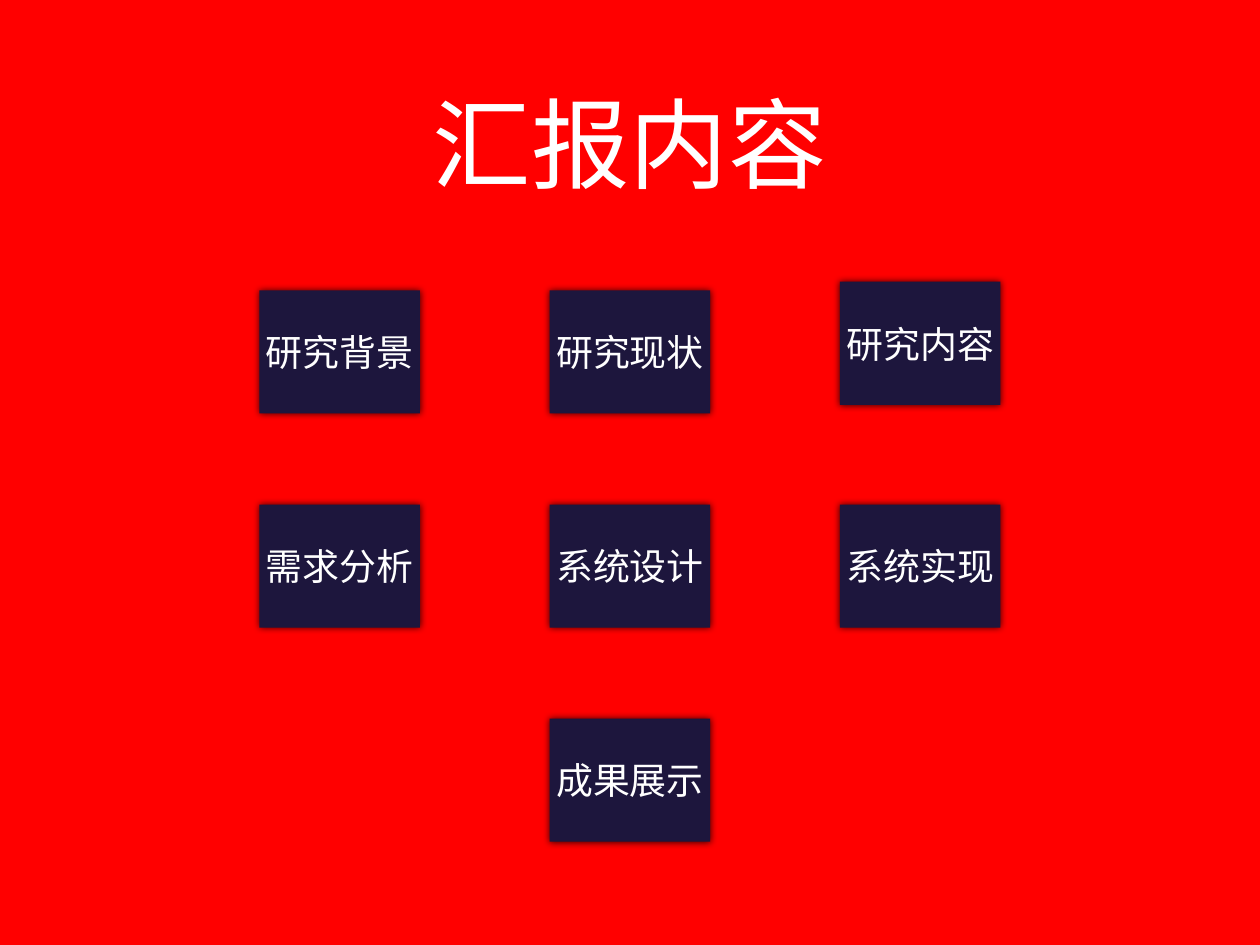
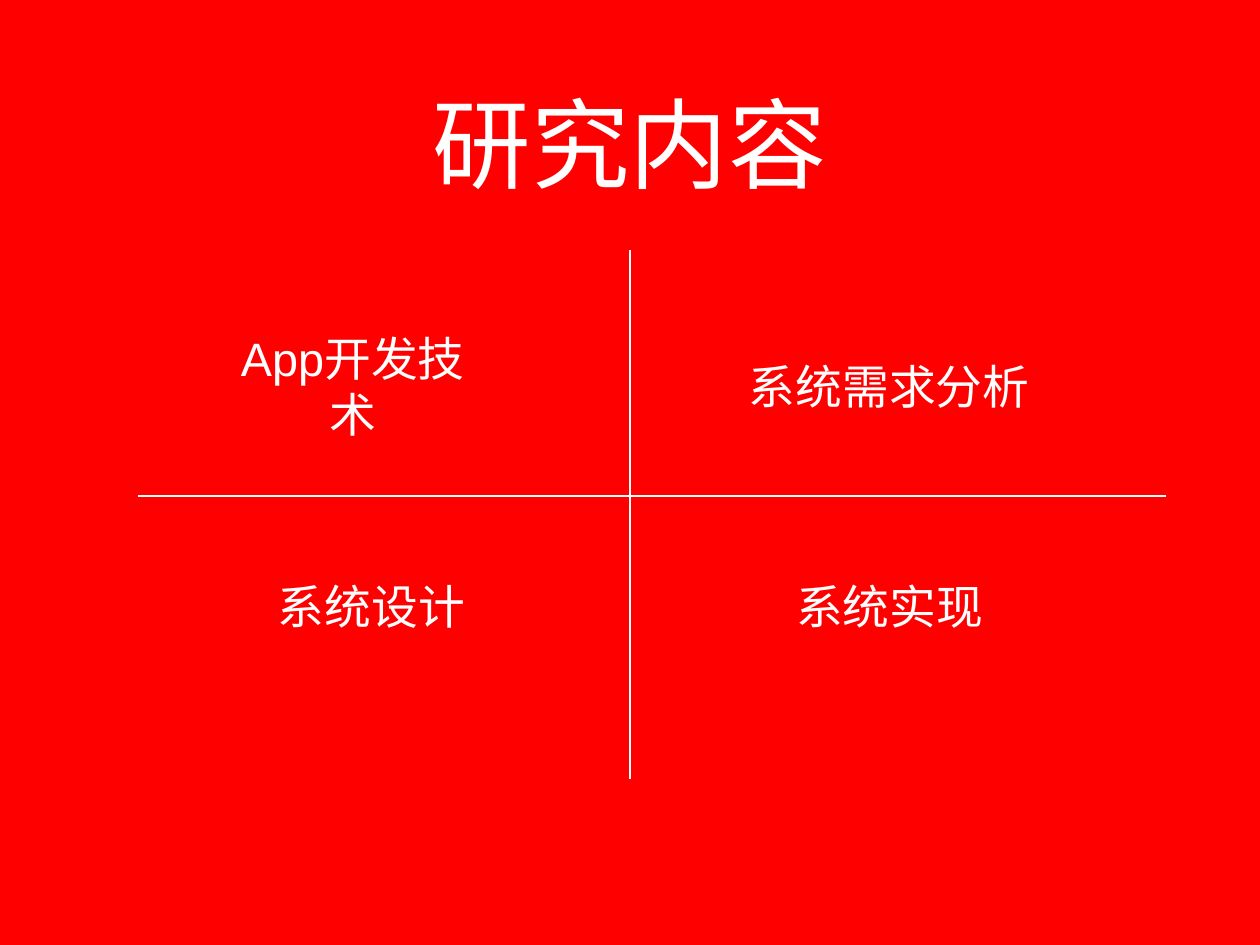
from lxml import etree
from pptx import Presentation
from pptx.dml.color import RGBColor
from pptx.enum import shapes, text
from pptx.oxml import ns
from pptx.util import Cm, Pt

RED = RGBColor(0xFF, 0x00, 0x00)
NAVY = RGBColor(0x1D, 0x16, 0x3D)
WHITE = RGBColor(0xFF, 0xFF, 0xFF)
FONT = "Arial"

# Content: agenda cells as (label, column, row, vertical shift)
AGENDA = [
    ("研究背景", 0, 0, 0),
    ("研究现状", 1, 0, 0),
    ("研究内容", 2, 0, -0.25),
    ("需求分析", 0, 1, 0),
    ("系统设计", 1, 1, 0),
    ("系统实现", 2, 1, 0),
    ("成果展示", 1, 2, 0),
]
# Topics as (label, left, top, width, height, wrap)
TOPICS = [
    ("App开发技术", 6.43, 10.11, 7.37, 1.91, True),
    ("系统需求分析", 21.31, 10.26, 8.36, 1.63, False),
    ("系统设计", 7.8, 16.56, 5.69, 1.63, False),
    ("系统实现", 22.66, 16.56, 5.69, 1.63, False),
]
# Cross lines as (x1, y1, x2, y2)
CROSS = [(3.96, 14.22, 33.43, 14.22), (18.06, 22.33, 18.06, 7.16)]

# Agenda grid in cm
LEFT, TOP = 7.44, 8.33
WIDE, HIGH = 4.6, 3.53
STEP_X, STEP_Y = 8.32, 6.14


def write(shape, label, size, inset=0, wrap=True):
    """Put centred white text into a shape."""
    frame = shape.text_frame
    frame.text = label
    side = Cm(inset)
    style = dict(margin_left=side, margin_right=side, margin_top=side,
                 margin_bottom=side, word_wrap=wrap,
                 auto_size=text.MSO_AUTO_SIZE.NONE,
                 vertical_anchor=text.MSO_ANCHOR.MIDDLE)
    for name, value in style.items():
        setattr(frame, name, value)
    para = frame.paragraphs[0]
    para.alignment = text.PP_ALIGN.CENTER
    for run in para.runs:
        run.font.size, run.font.name = Pt(size), FONT
        run.font.color.rgb = WHITE
        east = etree.SubElement(run.font._element, ns.qn("a:ea"))
        east.set("typeface", FONT)


def glow(shape):
    """Give a shape a soft dark shadow."""
    shape.shadow.inherit = False
    group = shape._element.spPr.find(ns.qn("a:effectLst"))
    soft = etree.SubElement(group, ns.qn("a:outerShdw"), blurRad=str(Pt(6)),
                            dist="0", dir="18900000", rotWithShape="0")
    tone = etree.SubElement(soft, ns.qn("a:srgbClr"), val="000000")
    etree.SubElement(tone, ns.qn("a:alpha"), val="80000")


def start(deck, label):
    """Add a slide with the shared title style."""
    slide = deck.slides.add_slide(deck.slide_layouts[5])
    title = slide.shapes.title
    title.left, title.top = Cm(2.64), Cm(1.12)
    title.width, title.height = Cm(30.84), Cm(5.89)
    write(title, label, 80)
    return slide.shapes


def main():
    deck = Presentation()
    deck.slide_width, deck.slide_height = Cm(36.12), Cm(27.1)
    fill = deck.slide_master.background.fill
    fill.solid()
    fill.fore_color.rgb = RED

    # Agenda slide
    items = start(deck, "汇报内容")
    for label, col, row, shift in AGENDA:
        box = items.add_shape(
            shapes.MSO_SHAPE.RECTANGLE, Cm(LEFT + col * STEP_X),
            Cm(TOP + row * STEP_Y + shift), Cm(WIDE), Cm(HIGH))
        box.fill.solid()
        box.fill.fore_color.rgb = NAVY
        box.line.fill.background()
        glow(box)
        write(box, label, 30)

    # Research slide: cross lines, then the four topics
    items = start(deck, "研究内容")
    for ends in CROSS:
        line = items.add_connector(shapes.MSO_CONNECTOR.STRAIGHT,
                                   *map(Cm, ends))
        line.line.color.rgb = WHITE
        line.line.width = Pt(2)
        etree.SubElement(line._element.spPr, ns.qn("a:effectLst"))
    for label, *area, wrap in TOPICS:
        write(items.add_textbox(*map(Cm, area)), label, 38, 0.15, wrap)

    deck.save("out.pptx")


if __name__ == "__main__":
    main()
